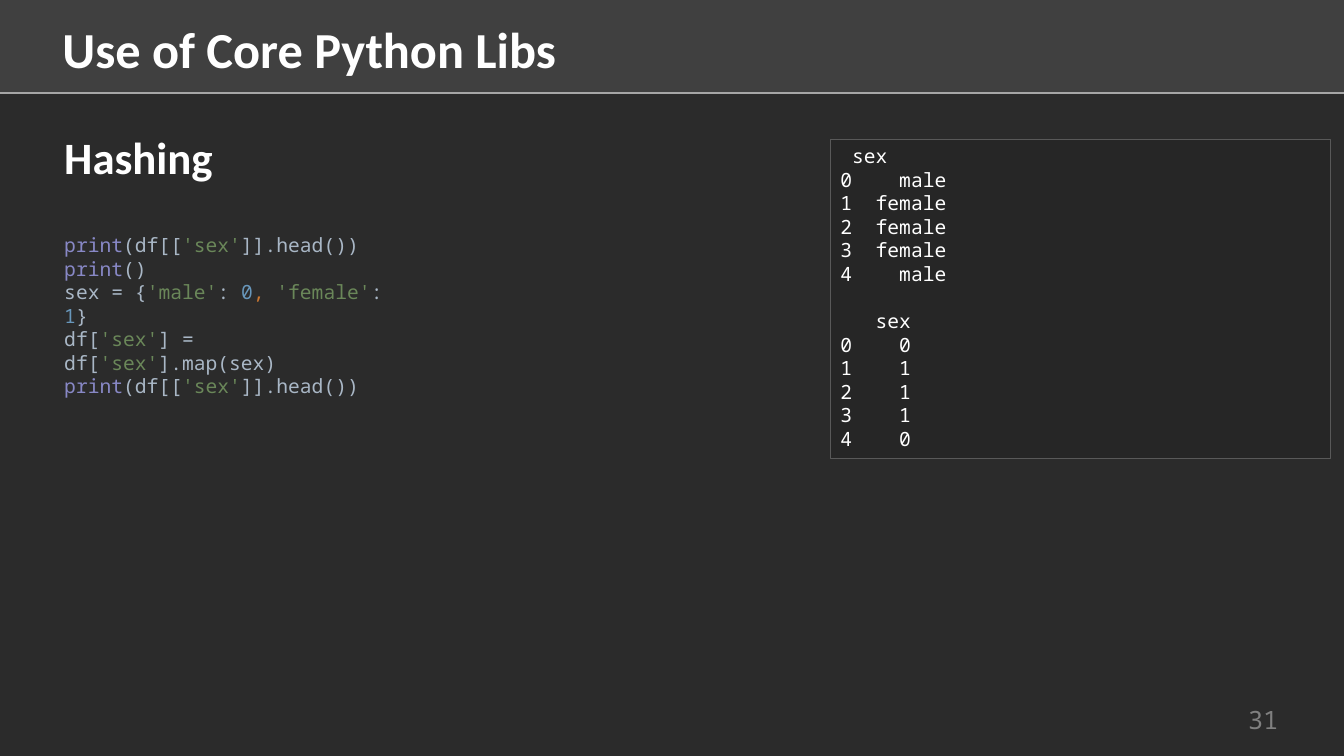
from pptx import Presentation
from pptx.dml.color import RGBColor
from pptx.enum.shapes import MSO_CONNECTOR, MSO_SHAPE
from pptx.enum.text import MSO_ANCHOR, PP_ALIGN
from pptx.oxml.ns import qn
from pptx.util import Cm, Pt
from lxml.etree import SubElement

HEAD = {"name": "Calibri", "size": Pt(36), "bold": True}
SUB = {**HEAD, "size": Pt(32)}
MONO = {"name": "Noto Sans Mono", "size": Pt(14)}
PAGE = {**MONO, "size": Pt(18)}

WHITE = "FFFFFF"
DARK = "2B2B2B"
CALL, PLAIN, QUOTE = "8888C6", "A9B7C6", "6A8759"
DIGIT, COMMA = "6897BB", "CC7832"

SHOW = [("print", CALL), ("(df[[", PLAIN), ("'sex'", QUOTE), ("]].head())", PLAIN)]
CODE = [
    SHOW,
    [("print", CALL), ("()", PLAIN)],
    [("sex = {", PLAIN), ("'male'", QUOTE), (": ", PLAIN), ("0", DIGIT),
     (", ", COMMA), ("'female'", QUOTE), (": ", PLAIN), ("1", DIGIT), ("}", PLAIN)],
    [("df[", PLAIN), ("'sex'", QUOTE), ("] = df[", PLAIN), ("'sex'", QUOTE),
     ("].map(sex)", PLAIN)],
    SHOW,
]
SEXES = ["male", "female", "female", "female", "male"]
CODES = {"male": 0, "female": 1}


def paint(hue):
    return RGBColor.from_string(hue)


def fill(item, hue):
    item.fill.solid()
    item.fill.fore_color.rgb = paint(hue)


def style(font, look, hue):
    for key, value in look.items():
        setattr(font, key, value)
    font.color.rgb = paint(hue)


def place(item, left, top, width, height):
    spots = {"left": left, "top": top, "width": width, "height": height}
    for key, value in spots.items():
        setattr(item, key, Cm(value))


def write(para, text, look, hue):
    run = para.add_run()
    run.text = text
    style(run.font, look, hue)


def set_frame(item, anchor):
    frame = item.text_frame
    frame.word_wrap = True
    frame.vertical_anchor = anchor
    para = frame.paragraphs[0]
    para.alignment = PP_ALIGN.LEFT
    return para


def add_rect(slide, box, hue, edge=None):
    rect = slide.shapes.add_shape(MSO_SHAPE.RECTANGLE, *map(Cm, box))
    rect.shadow.inherit = False
    fill(rect, hue)
    if edge:
        rect.line.color.rgb = paint(edge)
        rect.line.width = Pt(0.75)
    else:
        rect.line.fill.background()
    return rect


def add_rule(slide, top, width):
    rule = slide.shapes.add_connector(
        MSO_CONNECTOR.STRAIGHT, Cm(0), Cm(top), Cm(width), Cm(top))
    rule.line.color.rgb = paint("A6A6A6")
    rule.line.width = Pt(1)
    SubElement(rule.element.spPr, qn("a:effectLst"))


def add_title(slide, text):
    title = slide.shapes.title
    place(title, 1.32, 0.33, 30.2, 1.8)
    write(set_frame(title, MSO_ANCHOR.TOP), text, HEAD, WHITE)
    title.element.getparent().append(title.element)


def add_label(slide, box, text, look, hue, anchor=MSO_ANCHOR.TOP):
    label = slide.shapes.add_textbox(*map(Cm, box))
    para = set_frame(label, anchor)
    write(para, text, look, hue)
    return para


def add_code(slide, box, lines):
    para = set_frame(add_rect(slide, box, DARK), MSO_ANCHOR.MIDDLE)
    for row, line in enumerate(lines):
        if row:
            para.add_line_break()
        for text, hue in line:
            write(para, text, MONO, hue)


def add_result(slide, box, tables):
    panel = add_rect(slide, box, "262626", "595959")
    para = set_frame(panel, MSO_ANCHOR.TOP)
    for part, (head, wide, values) in enumerate(tables):
        rows = [f"{num}{value:>{wide}}" for num, value in enumerate(values)]
        for row, text in enumerate([head, *rows]):
            if part or row:
                para = panel.text_frame.add_paragraph()
                para.alignment = PP_ALIGN.LEFT
            if part and not row:
                para.space_before = Pt(17)
            write(para, text, MONO, WHITE)


def main():
    deck = Presentation()
    deck.slide_width, deck.slide_height = Cm(33.87), Cm(19.05)
    slide = deck.slides.add_slide(deck.slide_layouts[5])
    fill(slide.background, DARK)
    add_rect(slide, (0, 0, 33.87, 2.34), "404040")
    add_rule(slide, 2.34, 33.87)
    page = add_label(slide, (30.73, 17.73, 2.21, 0.79), "31", PAGE, "808080",
                     MSO_ANCHOR.MIDDLE)
    page.alignment = PP_ALIGN.CENTER
    add_title(slide, "Use of Core Python Libs")
    add_label(slide, (1.37, 3.15, 19.76, 1.63), "Hashing", SUB, WHITE)
    add_result(slide, (20.93, 3.51, 12.6, 8.05), [
        (" sex", 8, SEXES),
        (f"{'sex':>6}", 5, [CODES[sex] for sex in SEXES]),
    ])
    add_code(slide, (1.37, 6.32, 8.79, 3.25), CODE)
    deck.save("out.pptx")


if __name__ == "__main__":
    main()
